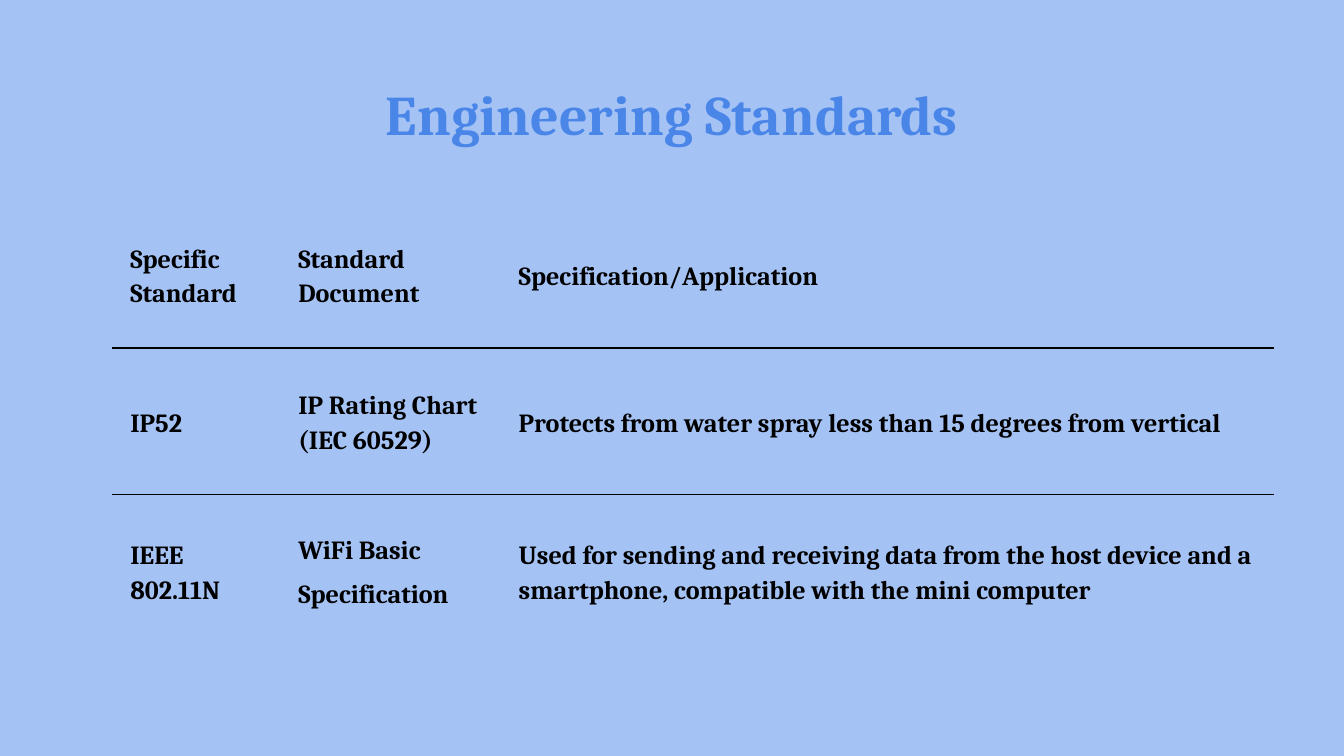
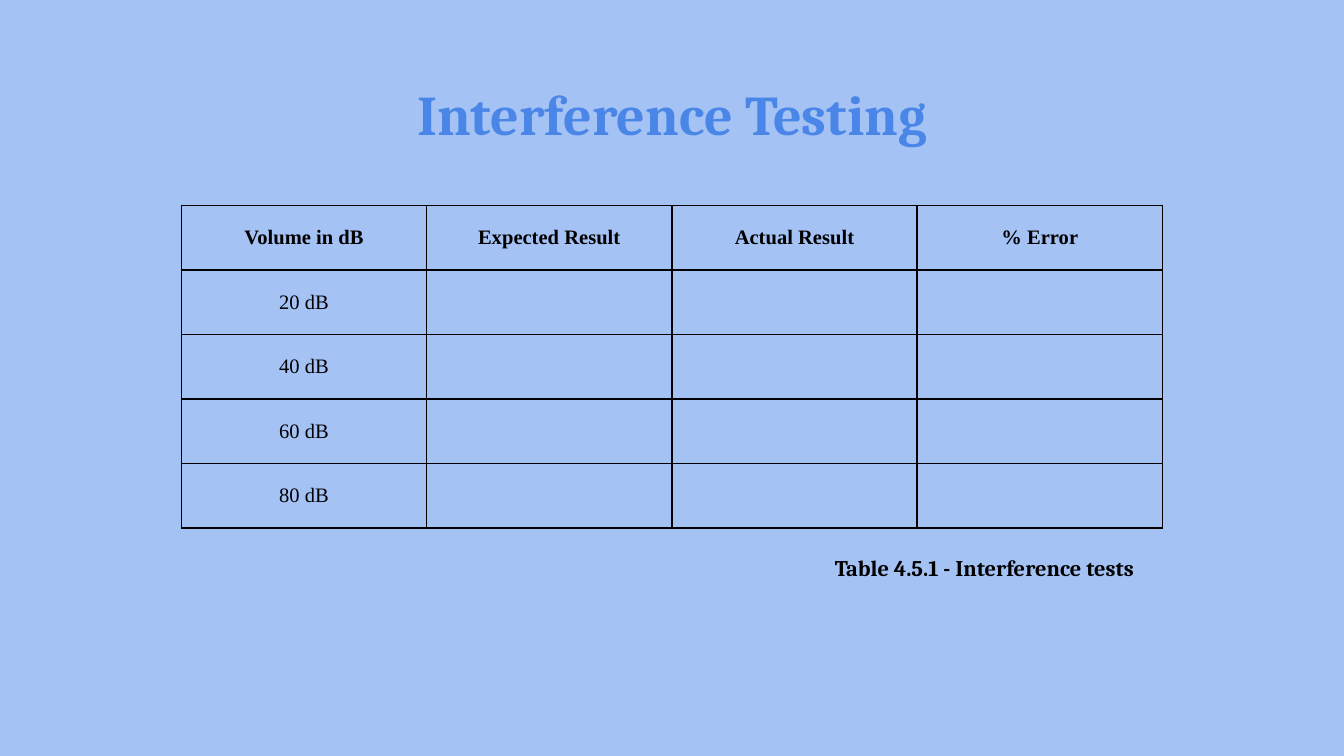
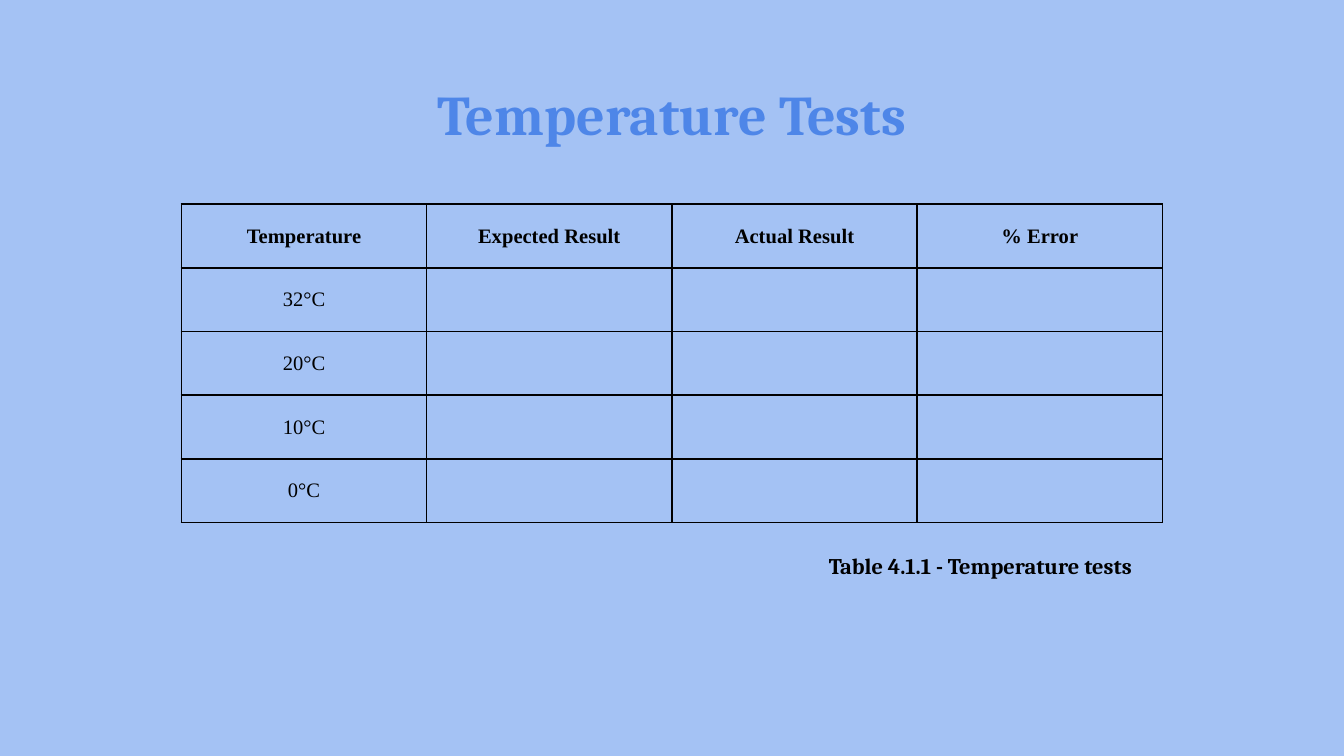
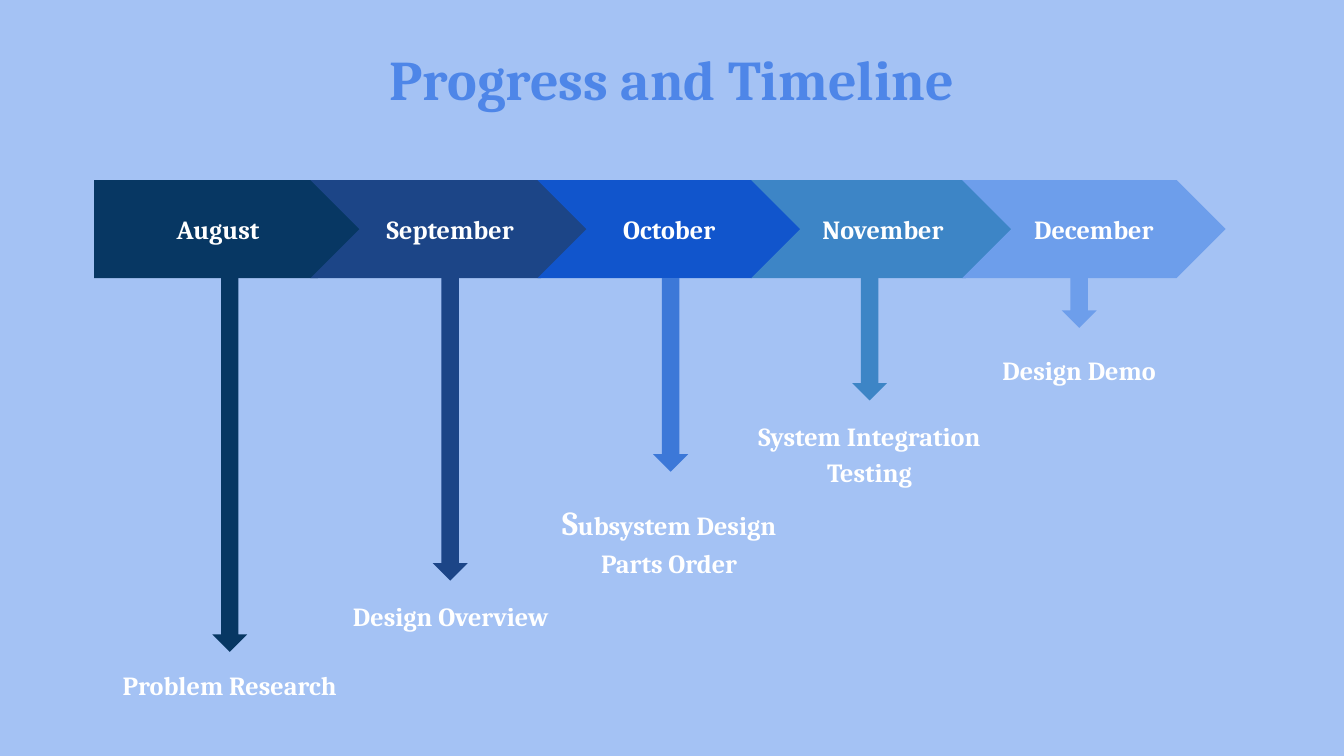
from lxml import etree
from pptx import Presentation
from pptx import util as u
from pptx.dml.color import RGBColor
from pptx.enum import shapes, text
from pptx.oxml import ns

HUES = {
    "back": "A4C2F4", "title": "4A86E8", "title2": "4E86E8",
    "ink": "000000", "white": "FFFFFF", "navy": "073763",
    "deep": "1C4587", "royal": "1155CC", "mid": "3C78D8",
    "steel": "3D85C6", "sky": "6D9EEB",
}
SERIF, TIMES = "Cambria", "Times New Roman"
LEFT, CENTER, JUST = (
    text.PP_ALIGN.LEFT, text.PP_ALIGN.CENTER, text.PP_ALIGN.JUSTIFY)
TOP, MID = text.MSO_ANCHOR.TOP, text.MSO_ANCHOR.MIDDLE
KIND = shapes.MSO_SHAPE


class Deck:
    def __init__(self):
        self.prs = Presentation()
        self.prs.slide_width = u.Inches(10)
        self.prs.slide_height = u.Inches(10 * 9 / 16)
        self.slide = None

    def hue(self, name):
        return RGBColor.from_string(HUES[name])

    def page(self, title, top=0.49, hue="title2"):
        self.slide = self.prs.slides.add_slide(self.prs.slide_layouts[6])
        fill = self.slide.background.fill
        fill.solid()
        fill.fore_color.rgb = self.hue("back")
        self.label(title, (0.34, top, 9.32, 0.63), 30, hue)

    def ink(self, run, size, hue, face=SERIF, bold=True):
        font = run.font
        font.size, font.name, font.bold = u.Pt(size), face, bold
        font.color.rgb = self.hue(hue)

    def style(self, frame, words, size, hue, face=SERIF, bold=True,
              align=CENTER, space=None, after=None):
        frame.text = words
        for para in frame.paragraphs:
            para.alignment = align
            if space:
                para.line_spacing = space
            if after:
                para.space_after = u.Pt(after)
            for run in para.runs:
                self.ink(run, size, hue, face, bold)

    def inset(self, frame, anchor):
        frame.word_wrap = True
        frame.vertical_anchor = anchor
        frame.margin_left = frame.margin_right = u.Inches(0.1)
        frame.margin_top = frame.margin_bottom = u.Inches(0.1)

    def label(self, words, box, size, hue, anchor=TOP, **looks):
        frame = self.slide.shapes.add_textbox(*map(u.Inches, box)).text_frame
        self.inset(frame, anchor)
        self.style(frame, words, size, hue, **looks)
        return frame

    def shape(self, kind, box, hue, words=""):
        item = self.slide.shapes.add_shape(kind, *map(u.Inches, box))
        item.shadow.inherit = False
        item.fill.solid()
        item.fill.fore_color.rgb = self.hue(hue)
        item.line.fill.background()
        if words:
            self.inset(item.text_frame, MID)
            self.style(item.text_frame, words, 14, "white")

    def edges(self, cell, sides, width):
        props = cell._tc.get_or_add_tcPr()
        for side in "LRTB":
            line = etree.SubElement(props, ns.qn("a:ln" + side))
            if side in sides:
                line.set("w", str(u.Pt(width)))
                fill = etree.SubElement(line, ns.qn("a:solidFill"))
                etree.SubElement(
                    fill, ns.qn("a:srgbClr"), val=HUES["ink"])
            else:
                line.set("w", "0")
                etree.SubElement(line, ns.qn("a:noFill"))

    def table(self, left, top, wides, highs):
        box = (left, top, sum(wides), sum(highs))
        grid = self.slide.shapes.add_table(
            len(highs), len(wides), *map(u.Inches, box)).table
        grid.first_row = grid.horz_banding = False
        for col, wide in zip(grid.columns, wides):
            col.width = u.Inches(wide)
        for row, high in zip(grid.rows, highs):
            row.height = u.Inches(high)
        return grid

    def cell(self, cell, words, sides, width, pad, size, **looks):
        self.edges(cell, sides, width)
        cell.vertical_anchor = MID
        cell.margin_left = cell.margin_right = u.Inches(pad[0])
        cell.margin_top = cell.margin_bottom = u.Inches(pad[1])
        if words:
            self.style(cell.text_frame, words, size, "ink", **looks)

    def norms(self, rows):
        grid = self.table(0.83, 1.5, (1.25, 1.64, 5.76), (1.09, 1.09, 1.14))
        for r, row in enumerate(rows):
            sides = ("T" if r else "") + ("B" if r < len(rows) - 1 else "")
            for c, words in enumerate(row):
                cell = grid.cell(r, c)
                align = LEFT if (r, c) in ((1, 1), (2, 2)) else JUST
                self.cell(cell, words, sides, 0.75, (0.14, 0.06), 14,
                          align=align, space=1.15, after=5)
                cell.fill.solid()
                cell.fill.fore_color.rgb = self.hue("back")

    def tests(self, top, high, head, steps):
        rows = [(head, "Expected Result", "Actual Result", "% Error")]
        rows += [(step, "", "", "") for step in steps]
        grid = self.table(1.35, top, [7.3 / 4] * 4,
                          [high / len(rows)] * len(rows))
        for r, row in enumerate(rows):
            for c, words in enumerate(row):
                cell = grid.cell(r, c)
                self.cell(cell, words, "LRTB", 1, (0.07, 0.07), 11,
                          face=TIMES, bold=r == 0)
                cell.fill.background()

    def month(self, name, kind, left, wide, hue, stem, note, box, tint=None):
        self.shape(kind, (left, 1.34, wide, 0.73), hue, name)
        mid, drop = stem
        self.shape(KIND.DOWN_ARROW, (mid, 2.07, 0.26, drop), tint or hue)
        return self.label(note, box, 14, "white", space=1.15, after=16)


def main():
    deck = Deck()

    deck.page("Engineering Standards", hue="title")
    deck.norms((
        ("Specific Standard", "Standard Document",
         "Specification/Application"),
        ("IP52", "IP Rating Chart (IEC 60529)",
         "Protects from water spray less than 15 degrees from vertical"),
        ("IEEE 802.11N", "WiFi Basic\nSpecification",
         "Used for sending and receiving data from the host device and a "
         "smartphone, compatible with the mini computer"),
    ))

    deck.page("Interference Testing", hue="title")
    deck.tests(1.53, 2.4, "Volume in dB",
               [f"{n} dB" for n in (20, 40, 60, 80)])
    deck.label("Table 4.5.1 - Interference tests",
               (6, 4.06, 2.65, 0.33), 12, "ink", MID)

    deck.page("Temperature Tests")
    deck.tests(1.52, 2.37, "Temperature",
               [f"{n}°C" for n in (32, 20, 10, 0)])
    deck.label("Table 4.1.1 - Temperature tests",
               (5.94, 4.06, 2.71, 0.3), 12, "ink", MID)

    deck.page("Progress and Timeline", 0.23)
    deck.month("August", KIND.PENTAGON, 0.7, 2.03, "navy", (1.58, 2.78),
               "Problem Research", (0.73, 4.85, 1.96, 0.63))
    deck.month("September", KIND.CHEVRON, 2.31, 2.08, "deep", (3.22, 2.25),
               "Design Overview", (2.28, 4.33, 2.15, 0.63))
    frame = deck.month(
        "October", KIND.CHEVRON, 4, 1.96, "royal", (4.86, 1.44),
        "S", (3.88, 3.59, 2.2, 0.73), "mid")
    para = frame.paragraphs[0]
    para.runs[0].font.size = u.Pt(18)
    rest = para.add_run()
    rest.text = "ubsystem Design Parts Order"
    deck.ink(rest, 14, "white")
    deck.month("November", KIND.CHEVRON, 5.59, 1.96, "steel", (6.34, 0.91),
               "System Integration Testing", (5.37, 2.99, 2.2, 0.91))
    deck.month("December", KIND.CHEVRON, 7.16, 1.96, "sky", (7.9, 0.37),
               "Design Demo", (7.17, 2.5, 1.72, 0.45))

    deck.prs.save("out.pptx")


if __name__ == "__main__":
    main()
